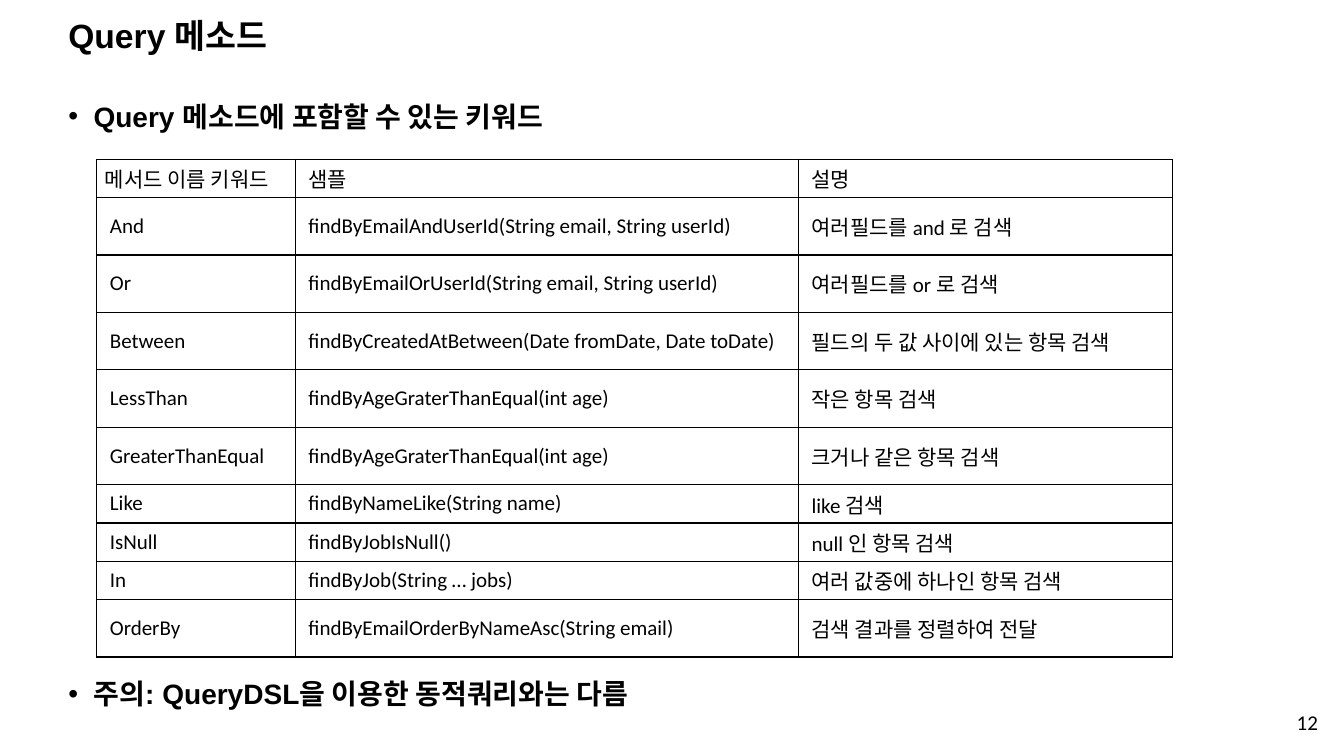
from lxml.etree import SubElement
from pptx import Presentation
from pptx.dml.color import RGBColor
from pptx.enum.text import MSO_ANCHOR, PP_ALIGN
from pptx.oxml.ns import qn
from pptx.util import Inches, Pt

BLACK, WHITE = "000000", "FFFFFF"


def color(hex_value):
    return RGBColor.from_string(hex_value)


def write(tf, text, size, font, bold=False):
    p = tf.paragraphs[0]
    r = p.add_run()
    r.text = text
    r.font.size = Pt(size)
    r.font.name = font
    r.font.bold = bold
    r.font.color.rgb = color(BLACK)
    return p


prs = Presentation()
prs.slide_width, prs.slide_height = Inches(13.33), Inches(7.5)
s = prs.slides.add_slide(prs.slide_layouts[6])

# Title, bullets and slide number
texts = [
    ("Query 메소드", 0.58, 0.18, 11.5, 0.38, 24, "Arial", "title"),
    ("Query 메소드에 포함할 수 있는 키워드", 0.58, 0.85, 12.14, 0.6, 20, "Arial", "bullet"),
    ("주의: QueryDSL을 이용한 동적쿼리와는 다름", 0.58, 6.58, 12.14, 0.6, 20, "Arial", "bullet"),
    ("12", 9.42, 6.95, 3.75, 0.42, 15, "Calibri", "number"),
]
for text, left, top, width, height, size, font, role in texts:
    sp = s.shapes.add_textbox(Inches(left), Inches(top), Inches(width), Inches(height))
    tf = sp.text_frame
    tf.word_wrap = True
    tf.vertical_anchor = MSO_ANCHOR.MIDDLE
    p = write(tf, text, size, font, bold=role != "number")
    if role == "title":
        p.line_spacing = 0.9
    elif role == "number":
        p.alignment = PP_ALIGN.RIGHT
    else:
        pPr = p._p.get_or_add_pPr()
        pPr.set("marL", str(Inches(0.25)))
        pPr.set("indent", str(Inches(-0.25)))
        SubElement(pPr, qn("a:buFont")).set("typeface", "Arial")
        SubElement(pPr, qn("a:buChar")).set("char", "•")

# Keyword table
TALL, LOW = 0.57, 0.38
col_widths = [1.97, 4.99, 3.71]
rows = [
    (LOW, "메서드 이름 키워드", "샘플", "설명"),
    (TALL, "And", "findByEmailAndUserId(String email, String userId)", "여러필드를 and 로 검색"),
    (TALL, "Or", "findByEmailOrUserId(String email, String userId)", "여러필드를 or 로 검색"),
    (TALL, "Between", "findByCreatedAtBetween(Date fromDate, Date toDate)",
     "필드의 두 값 사이에 있는 항목 검색"),
    (TALL, "LessThan", "findByAgeGraterThanEqual(int age)", "작은 항목 검색"),
    (TALL, "GreaterThanEqual", "findByAgeGraterThanEqual(int age)", "크거나 같은 항목 검색"),
    (LOW, "Like", "findByNameLike(String name)", "like 검색"),
    (LOW, "IsNull", "findByJobIsNull()", "null 인 항목 검색"),
    (LOW, "In", "findByJob(String … jobs)", "여러 값중에 하나인 항목 검색"),
    (TALL, "OrderBy", "findByEmailOrderByNameAsc(String email)", "검색 결과를 정렬하여 전달"),
]
table = s.shapes.add_table(
    len(rows), len(col_widths), Inches(0.96), Inches(1.58),
    Inches(sum(col_widths)), Inches(sum(row[0] for row in rows))).table
table.first_row = table.horz_banding = False
for column, width in zip(table.columns, col_widths):
    column.width = Inches(width)

for i, (height, *cell_texts) in enumerate(rows):
    table.rows[i].height = Inches(height)
    for j, text in enumerate(cell_texts):
        cell = table.cell(i, j)
        cell.vertical_anchor = MSO_ANCHOR.MIDDLE
        cell.margin_left = Inches(0.08 if i == j == 0 else 0.13)
        cell.margin_right = Inches(0.08)
        cell.margin_top = cell.margin_bottom = Inches(0.04)
        write(cell.text_frame, text, 15, "Calibri")
        tcPr = cell._tc.get_or_add_tcPr()
        for side in ("lnL", "lnR", "lnT", "lnB"):
            ln = SubElement(tcPr, qn(f"a:{side}"), w=str(Pt(1)))
            fill = SubElement(ln, qn("a:solidFill"))
            SubElement(fill, qn("a:srgbClr"), val=BLACK)
        cell.fill.solid()
        cell.fill.fore_color.rgb = color(WHITE)

prs.save("out.pptx")
